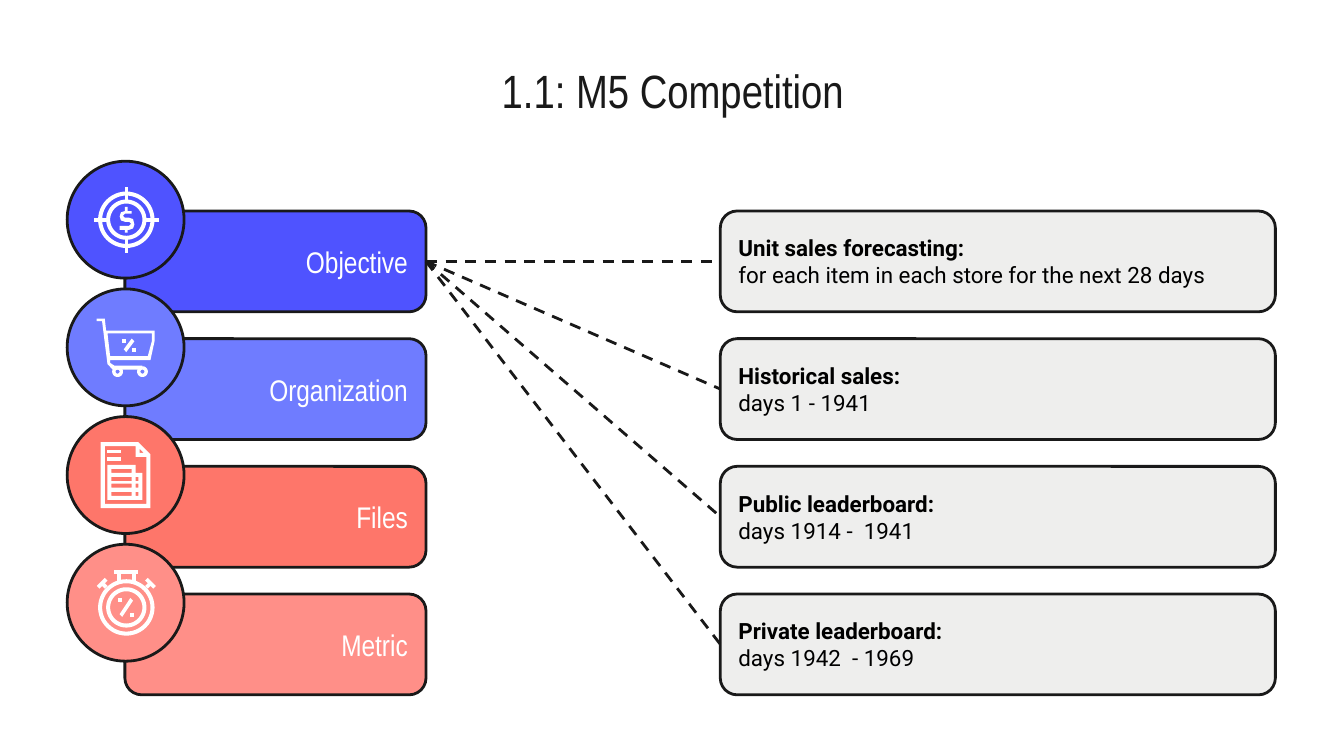
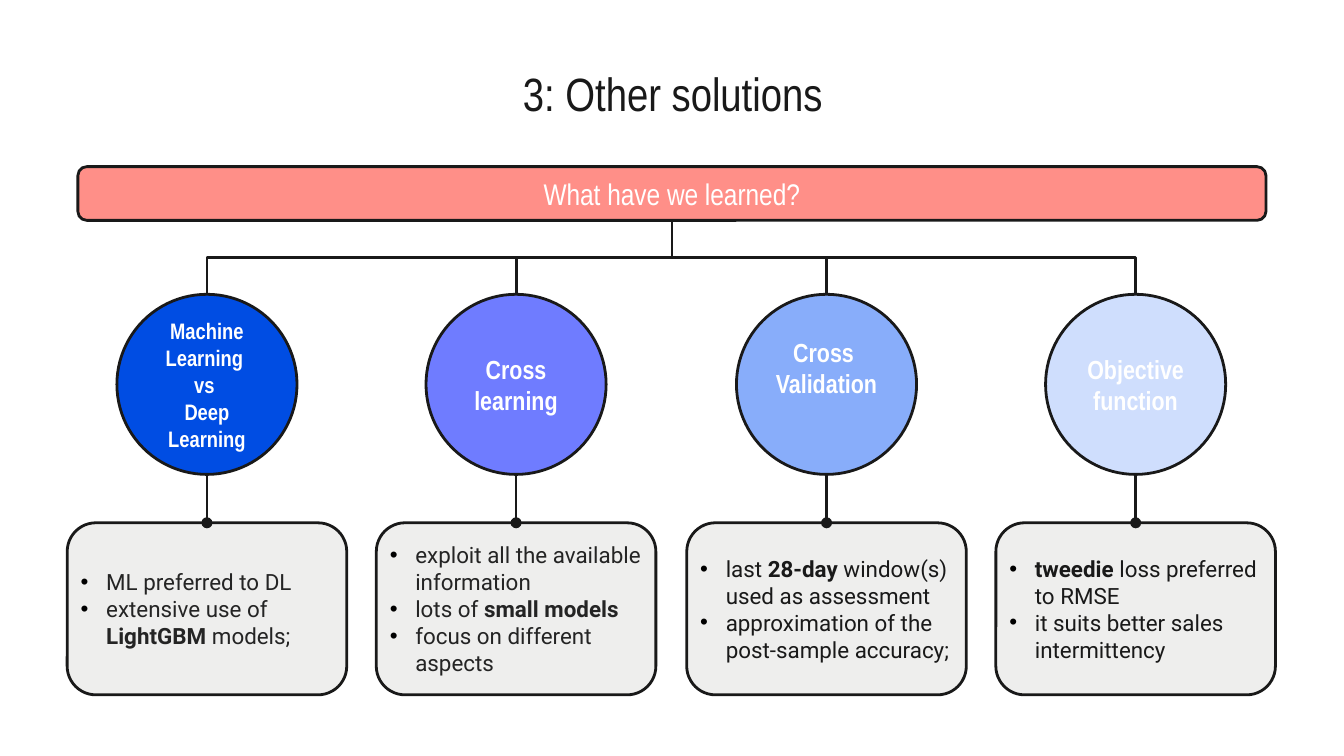
from math import cos, pi, sin

from lxml.etree import SubElement
from pptx import Presentation
from pptx.dml.color import RGBColor
from pptx.enum.dml import MSO_LINE
from pptx.enum.shapes import MSO_CONNECTOR, MSO_SHAPE
from pptx.enum.text import MSO_ANCHOR, MSO_AUTO_SIZE, PP_ALIGN
from pptx.oxml.ns import qn
from pptx.util import Pt

PX = 9144
SLIDE_WIDTH = 1000
TITLE_LAYOUT, FOUR_LISTS_LAYOUT = 5, 4

INK = RGBColor(0x19, 0x19, 0x19)
CHARCOAL = RGBColor(0x24, 0x24, 0x24)
BLACK = RGBColor(0, 0, 0)
WHITE = RGBColor(0xFF, 0xFF, 0xFF)
PALE_GREY = RGBColor(0xEE, 0xEE, 0xED)
INDIGO = RGBColor(0x4F, 0x53, 0xFF)
PERIWINKLE = RGBColor(0x6F, 0x7C, 0xFF)
CORAL = RGBColor(0xFE, 0x76, 0x6A)
SALMON = RGBColor(0xFF, 0x8F, 0x88)
ROYAL_BLUE = RGBColor(0x00, 0x4D, 0xE3)
SKY_BLUE = RGBColor(0x88, 0xAD, 0xFA)
ICE_BLUE = RGBColor(0xCF, 0xDE, 0xFD)

HEADING_FONT, BODY_FONT = "Arial Narrow", "Roboto"


def emu(*lengths):
    return [round(length * PX) for length in lengths]


def write(shape, lines, size, color, font=HEADING_FONT, align=PP_ALIGN.LEFT,
          anchor=MSO_ANCHOR.MIDDLE, bold=False, top_inset=10):
    frame = shape.text_frame
    frame.word_wrap = True
    frame.auto_size = MSO_AUTO_SIZE.NONE
    frame.vertical_anchor = anchor
    frame.margin_left = frame.margin_right = 10 * PX
    frame.margin_top = frame.margin_bottom = top_inset * PX
    for number, line in enumerate(lines):
        paragraph = frame.add_paragraph() if number else frame.paragraphs[0]
        paragraph.alignment = align
        paragraph.space_before = Pt(0)
        for position, part in enumerate(line.split("*")):
            if not part:
                continue
            run = paragraph.add_run()
            run.text = part
            run.font.name = font
            run.font.size = Pt(size)
            run.font.bold = bold or position % 2 == 1
            run.font.color.rgb = color


def add_bullets(shape):
    for paragraph in shape.text_frame.paragraphs:
        properties = paragraph._p.get_or_add_pPr()
        properties.set("marL", str(19 * PX))
        properties.set("indent", str(-19 * PX))
        bullet_color = SubElement(properties, qn("a:buClr"))
        SubElement(bullet_color, qn("a:srgbClr"), val=str(BLACK))
        SubElement(properties, qn("a:buFont"), typeface="Arial")
        SubElement(properties, qn("a:buChar"), char="•")


def place(shape, left, top, width, height):
    shape.left, shape.top, shape.width, shape.height = emu(left, top, width, height)


def add_titled_slide(deck, layout, title, top):
    slide = deck.slides.add_slide(deck.slide_layouts[layout])
    place(slide.shapes.title, 79, top, 843, 55)
    write(slide.shapes.title, [title], 25, INK, align=PP_ALIGN.CENTER,
          anchor=MSO_ANCHOR.TOP)
    return slide


def add_outlined(slide, preset, left, top, width, height, fill):
    shape = slide.shapes.add_shape(preset, *emu(left, top, width, height))
    shape.shadow.inherit = False
    shape.fill.solid()
    shape.fill.fore_color.rgb = fill
    shape.line.color.rgb = INK
    shape.line.width = Pt(1.5)
    return shape


def add_card(slide, left, top, width, height, fill):
    return add_outlined(slide, MSO_SHAPE.ROUNDED_RECTANGLE, left, top, width, height, fill)


def add_circle(slide, left, top, diameter, fill):
    return add_outlined(slide, MSO_SHAPE.OVAL, left, top, diameter, diameter, fill)


def add_line(slide, x1, y1, x2, y2, kind=MSO_CONNECTOR.STRAIGHT):
    line = slide.shapes.add_connector(kind, *emu(x1, y1, x2, y2))
    line.line.color.rgb = INK
    line.line.width = Pt(1.5)
    SubElement(line.element.spPr, qn("a:effectLst"))
    return line


def add_branch(slide, x1, y1, x2, y2):
    drop, reach = y2 - y1, abs(x2 - x1)
    left = (x1 + x2 - drop) / 2
    top = (y1 + y2 - reach) / 2
    ends, degrees = ((left, left + drop), 90) if x2 < x1 else ((left + drop, left), 270)
    branch = add_line(slide, ends[0], top, ends[1], top + reach, MSO_CONNECTOR.ELBOW)
    branch.element.spPr.find(qn("a:xfrm")).set("rot", str(degrees * 60000))


def box(left, top, right, bottom):
    return [(left, top), (right, top), (right, bottom), (left, bottom)]


def circle(x, y, radius, steps=48):
    angles = [2 * pi * step / steps for step in range(steps)]
    return [(x + radius * cos(angle), y + radius * sin(angle)) for angle in angles]


def ring(x, y, outer, inner):
    return [circle(x, y, outer), circle(x, y, inner)]


def percent(left, top, right, bottom):
    slash = [(right - 3, top), (left + 1, bottom - 2), (left + 3, bottom), (right - 1, top + 2)]
    return [[slash], [box(left, top, left + 3, top + 3)],
            [box(right - 3, bottom - 3, right, bottom)]]


def target_icon():
    dollar = [(93, 154), (93, 157), (90, 158), (89, 161), (90, 164), (93, 165), (96, 165),
              (97.5, 166.5), (96, 168), (89, 168), (89, 171), (93, 171), (93, 173),
              (95, 173), (95, 171), (96, 171), (99, 170), (100, 167), (99, 163), (96, 162),
              (93, 162), (91.5, 160.5), (93, 159), (98, 159), (98, 157), (95, 157), (95, 154)]
    ticks = [box(93, 139, 95, 150), box(93, 177, 95, 188),
             box(70, 162, 81, 165), box(107, 162, 118, 165)]
    return [ring(94, 163.5, 21, 18), ring(94, 163.5, 15, 12), [dollar]] + [[tick] for tick in ticks]


def cart_icon():
    frame = [(72, 237), (72, 239), (76, 239), (80, 271), (84, 275), (106, 275), (106, 272),
             (85, 272), (82, 270), (82, 268), (112, 268), (115, 254), (115, 246),
             (79, 246), (78, 237)]
    basket = [(113, 248), (113, 254), (110, 265), (82, 265), (80, 248)]
    wheels = [ring(x, 276.5, 4, 1.5) for x in (87.5, 106)]
    return [[frame, basket]] + wheels + percent(91, 252, 101, 262)


def files_icon():
    page = [(75, 329), (75, 378), (112, 378), (112, 338), (103, 329)]
    inside = [(78, 332), (78, 375), (109, 375), (109, 340), (101, 340), (101, 332)]
    fold = [(104, 334), (107, 337), (104, 337)]
    grid = [(80, 346), (80, 372), (106, 372), (106, 352), (101, 352), (101, 346)]
    rows = [box(83, y, 98, y + 3) for y in (349, 355, 360, 366)]
    cells = [box(101, y, 103, y + 3) for y in (355, 360, 366)]
    return [[page, inside, fold], [grid] + rows + cells,
            [box(80, 335, 90, 337)], [box(80, 340, 90, 343)]]


def timer_icon():
    ear = [(72, 436), (78, 430), (80, 432), (78, 434), (80, 436), (78, 438), (76, 436), (74, 438)]
    other_ear = [(188 - x, y) for x, y in ear]
    crown = [box(85, 424, 103, 427), box(87, 427, 90, 432), box(98, 427, 101, 432)]
    return ([ring(94, 452, 21, 18), ring(94, 452, 15, 12)]
            + [[part] for part in crown + [ear, other_ear]] + percent(88, 445, 100, 459))


def add_icon(slide, outlines):
    for contours in outlines:
        builder = None
        for contour in contours:
            start, *others = [emu(*point) for point in contour]
            if builder is None:
                builder = slide.shapes.build_freeform(*start)
            else:
                builder.move_to(*start)
            builder.add_line_segments(others, close=True)
        piece = builder.convert_to_shape()
        piece.shadow.inherit = False
        piece.fill.solid()
        piece.fill.fore_color.rgb = WHITE
        piece.line.fill.background()


def build_competition(deck):
    slide = add_titled_slide(deck, TITLE_LAYOUT, "1.1: M5 Competition", 36)
    topics = [
        ("Objective", INDIGO, target_icon(),
         "Unit sales forecasting:", "for each item in each store for the next 28 days"),
        ("Organization", PERIWINKLE, cart_icon(), "Historical sales:", "days 1 - 1941"),
        ("Files", CORAL, files_icon(), "Public leaderboard:", "days 1914 -  1941"),
        ("Metric", SALMON, timer_icon(), "Private leaderboard:", "days 1942  - 1969"),
    ]
    tabs, details = [], []
    for row, (topic, color, _, heading, detail) in enumerate(topics):
        top = 157 + 95 * row
        tab = add_card(slide, 93, top, 224, 75, color)
        write(tab, [topic], 16, WHITE, align=PP_ALIGN.RIGHT)
        card = add_card(slide, 536, top, 413, 75, PALE_GREY)
        write(card, [f"*{heading}*", detail], 12, BLACK, BODY_FONT)
        tabs.append(tab)
        details.append(card)
    for card in details:
        link = add_line(slide, 317, 194, 536, 194)
        link.begin_connect(tabs[0], 3)
        link.end_connect(card, 1)
        link.line.dash_style = MSO_LINE.DASH
    for row, (_, color, icon, _, _) in enumerate(topics):
        add_circle(slide, 50, 120 + 95 * row, 87, color)
        add_icon(slide, icon)


def build_solutions(deck):
    slide = add_titled_slide(deck, FOUR_LISTS_LAYOUT, "3: Other solutions", 38)
    banner = add_card(slide, 58, 124, 884, 40, SALMON)
    write(banner, ["What have we learned?"], 16, WHITE, align=PP_ALIGN.CENTER)
    lessons = [
        (["Machine Learning ", "vs ", "Deep Learning"], 12, ROYAL_BLUE, CHARCOAL,
         ["ML preferred to DL", "extensive use of *LightGBM* models;"]),
        (["Cross learning"], 14, PERIWINKLE, CHARCOAL,
         ["exploit all the available information", "lots of *small models*",
          "focus on different aspects"]),
        (["Cross ", "Validation"], 14, SKY_BLUE, INK,
         ["last *28-day* window(s) used as assessment",
          "approximation of the post-sample accuracy;"]),
        (["Objective function"], 14, ICE_BLUE, INK,
         ["*tweedie* loss preferred to RMSE", "it suits better sales intermittency"]),
    ]
    bodies = [holder for holder in slide.placeholders if holder.placeholder_format.idx > 0]
    for column, (lesson, body) in enumerate(zip(lessons, bodies)):
        label, size, color, text_color, points = lesson
        left = round(50 + column * 691 / 3)
        center = left + 104
        add_branch(slide, 500, 164, center, 219)
        card = add_card(slide, left, 389, 208, 128, PALE_GREY)
        bubble = add_circle(slide, center - 67, 219, 134, color)
        stem = add_line(slide, center, 353, center, 389)
        stem.end_connect(card, 0)
        SubElement(stem.line._get_or_add_ln(), qn("a:tailEnd"), type="oval")
        if color == SKY_BLUE:
            caption = slide.shapes.add_textbox(*emu(left, 245, 208, 81))
            write(caption, label, size, WHITE, align=PP_ALIGN.CENTER,
                  anchor=MSO_ANCHOR.TOP, bold=True, top_inset=5)
        else:
            write(bubble, label, size, WHITE, align=PP_ALIGN.CENTER, bold=True)
        place(body, left, 389, 209, 128)
        write(body, points, 12, text_color, BODY_FONT)
        add_bullets(body)
        body.element.getparent().append(body.element)


def main():
    deck = Presentation()
    deck.slide_width = SLIDE_WIDTH * PX
    deck.slide_height = deck.slide_width * 9 // 16
    build_competition(deck)
    build_solutions(deck)
    deck.save("out.pptx")


if __name__ == "__main__":
    main()
